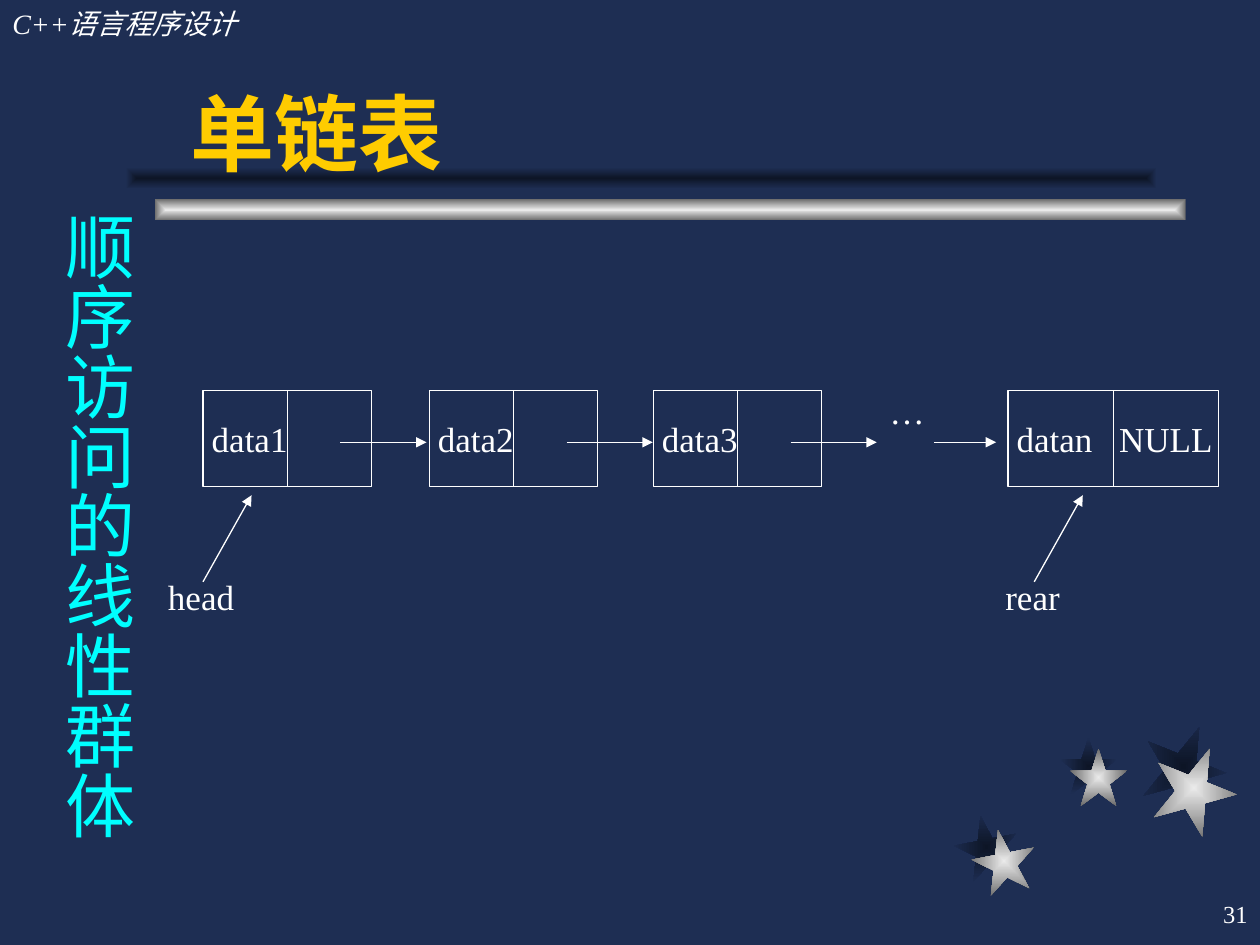
from lxml.etree import SubElement
from pptx import Presentation
from pptx.dml.color import RGBColor
from pptx.enum.shapes import MSO_CONNECTOR as Link, MSO_SHAPE as Preset
from pptx.enum.text import MSO_ANCHOR as Anchor, PP_ALIGN as Align
from pptx.oxml.ns import qn
from pptx.util import Pt

NAVY, SHADE, WHITE = "1E2E53", "0D1526", "FFFFFF"
SHADOW, SILVER = (SHADE, NAVY), ("EAEAEA", "6B6B6B")
SERIF, CJK = "Times New Roman", "Noto Sans CJK SC"


def color(value):
    """Turn a hex string into a colour."""
    return RGBColor.from_string(value)


def write(shape, text, size=20, font=SERIF, ink=WHITE, align=Align.LEFT,
          anchor=Anchor.TOP, insets=(0, 0), bold=False, italic=False):
    """Put one formatted paragraph into a shape."""
    frame = shape.text_frame
    frame.word_wrap = True
    frame.vertical_anchor = anchor
    frame.margin_left = frame.margin_right = Pt(insets[0])
    frame.margin_top = frame.margin_bottom = Pt(insets[1])
    frame.text = text
    paragraph = frame.paragraphs[0]
    paragraph.alignment = align
    for run in paragraph.runs:
        run.font.name, run.font.size = font, Pt(size)
        run.font.bold, run.font.italic = bold, italic
        run.font.color.rgb = color(ink)
        SubElement(run.font._element, qn("a:ea"), typeface=CJK)
    return shape


def label(slide, box, text, **style):
    """Add a text box in the given box."""
    return write(slide.shapes.add_textbox(*map(Pt, box)), text, **style)


def line(slide, start, end, arrow=False):
    """Draw a thin white line, with an arrowhead at its end if asked."""
    link = slide.shapes.add_connector(Link.STRAIGHT, *map(Pt, (*start, *end)))
    link.line.color.rgb = color(WHITE)
    link.line.width = Pt(0.75)
    if arrow:
        SubElement(link.line._get_or_add_ln(), qn("a:tailEnd"), type="triangle")
    SubElement(link._element.spPr, qn("a:effectLst"))


def glow(slide, preset, box, tones, rotation=0):
    """Add a borderless shape shaded from its centre outwards."""
    shape = slide.shapes.add_shape(preset, *map(Pt, box))
    shape.shadow.inherit = False
    shape.rotation = rotation
    shape.line.fill.background()
    shape.fill.gradient()
    for stop, tone in zip(shape.fill.gradient_stops, tones):
        stop.color.rgb = color(tone)
    gradient = shape._element.spPr.find(qn("a:gradFill"))
    gradient.remove(gradient.find(qn("a:lin")))
    center = SubElement(gradient, qn("a:path"), path="rect")
    SubElement(center, qn("a:fillToRect"), l="50000", t="50000", r="50000", b="50000")


def decoration(slide, left, top):
    """Place the three stars with their shadows."""
    stars = (
        (36, 349, (0, 52), (10, 60)),
        (33, 0, (59.75, 7.25), (65.5, 13.75)),
        (48, 22, (106.5, 0), (112.5, 12.25)),
    )
    for layer, tones in enumerate((SHADOW, SILVER)):
        for size, rotation, *spots in stars:
            x, y = spots[layer]
            glow(slide, Preset.STAR_5_POINT, (left + x, top + y, size, size),
                 tones, rotation)


def heading(slide, left, top, width):
    """Place the title over its bar and the shadow of the bar."""
    glow(slide, Preset.RECTANGLE, (left + 16.5, top + 95.75, width, 12.25), SILVER)
    glow(slide, Preset.RECTANGLE, (left, top + 77.75, width, 12.25), SHADOW)
    label(slide, (left + 30, top, 564, 90), "单链表", size=48, font="Arial",
          ink="FFCC00", anchor=Anchor.BOTTOM, insets=(7.2, 3.6), bold=True)


def node(slide, left, top, width, height, text):
    """Draw a list node split into data and link halves."""
    cell = slide.shapes.add_shape(Preset.RECTANGLE, *map(Pt, (left, top, width, height)))
    cell.shadow.inherit = False
    cell.fill.background()
    cell.line.color.rgb = color(WHITE)
    cell.line.width = Pt(0.75)
    write(cell, text, anchor=Anchor.MIDDLE, insets=(5, 0))
    cell.text_frame.margin_right = 0
    middle = left + width / 2
    line(slide, (middle, top), (middle, top + height))
    return cell


def pointer(slide, left, top, text, arrow_offset):
    """Place a pointer name with its arrow up to a node."""
    label(slide, (left, top, 63.5, 43), text)
    foot = left + arrow_offset
    line(slide, (foot, top + 3.5), (foot + 27.75, top - 46), arrow=True)


def linked_list(slide, left, top):
    """Draw the chain of nodes with the head and rear pointers."""
    height, link_y = 55, top + 29.75
    for number, offset in enumerate((0, 129.25, 257.25), 1):
        x = left + offset
        node(slide, x, top, 96.25, height, f"data{number}")
        line(slide, (x + 78.5, link_y), (x + 127.75, link_y), arrow=True)
    last = node(slide, left + 460, top, 120.25, height, "datan\tNULL")
    properties = last.text_frame.paragraphs[0]._p.get_or_add_pPr()
    stops = SubElement(properties, qn("a:tabLst"))
    SubElement(stops, qn("a:tab"), pos=str(Pt(58.5)), algn="l")
    label(slide, (left + 375.75, top - 4, 53.25, 59), "…", align=Align.CENTER,
          insets=(7.2, 3.6))
    line(slide, (left + 418, link_y), (left + 453.25, link_y), arrow=True)
    pointer(slide, left - 20, top + 106, "head", 20)
    pointer(slide, left + 458.5, top + 106, "rear", 16.5)


def side_topic(slide, *box):
    """Place the vertical topic at the left edge."""
    topic = label(slide, box, "顺序访问的线性群体", size=40, font=CJK,
                  ink="00FFFF", insets=(3.6, 7.2))
    topic.text_frame._txBody.bodyPr.set("vert", "eaVert")


def margins(slide, width, height):
    """Place the course name and the page number in the corners."""
    label(slide, (0, 0, 222, 26.5), "C++语言程序设计", size=16, insets=(7.2, 3.6),
          italic=True)
    label(slide, (width - 150, height - 36, 150, 36), "31", size=14,
          align=Align.RIGHT, anchor=Anchor.MIDDLE, insets=(7.2, 3.6))


def main():
    """Build the slide and save it."""
    deck = Presentation()
    width, height = 720, 540
    deck.slide_width, deck.slide_height = Pt(width), Pt(height)
    slide = deck.slides.add_slide(deck.slide_layouts[6])
    slide.background.fill.solid()
    slide.background.fill.fore_color.rgb = color(NAVY)
    decoration(slide, 545.75, 414)
    heading(slide, 72, 18, 589)
    linked_list(slide, 116, 223)
    side_topic(slide, 21.5, 113.75, 62, 377.25)
    margins(slide, width, height)
    deck.save("out.pptx")


if __name__ == "__main__":
    main()
